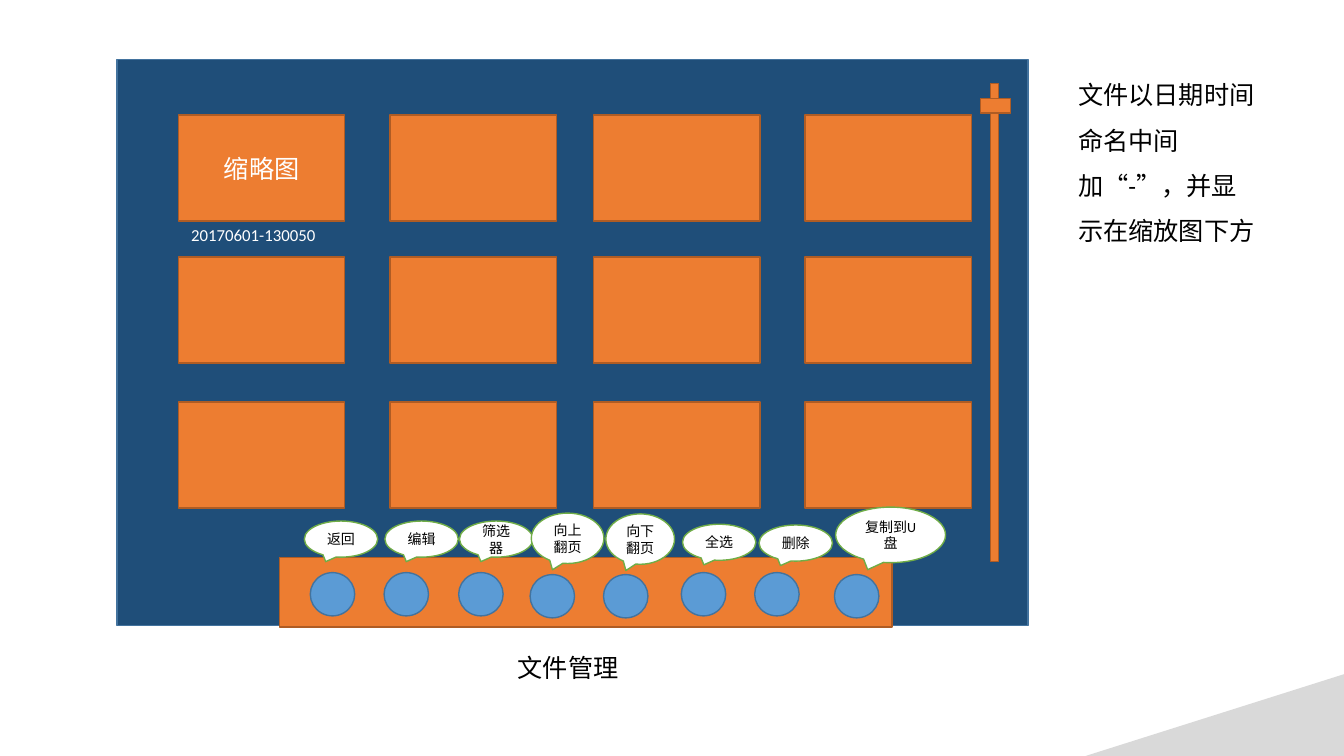
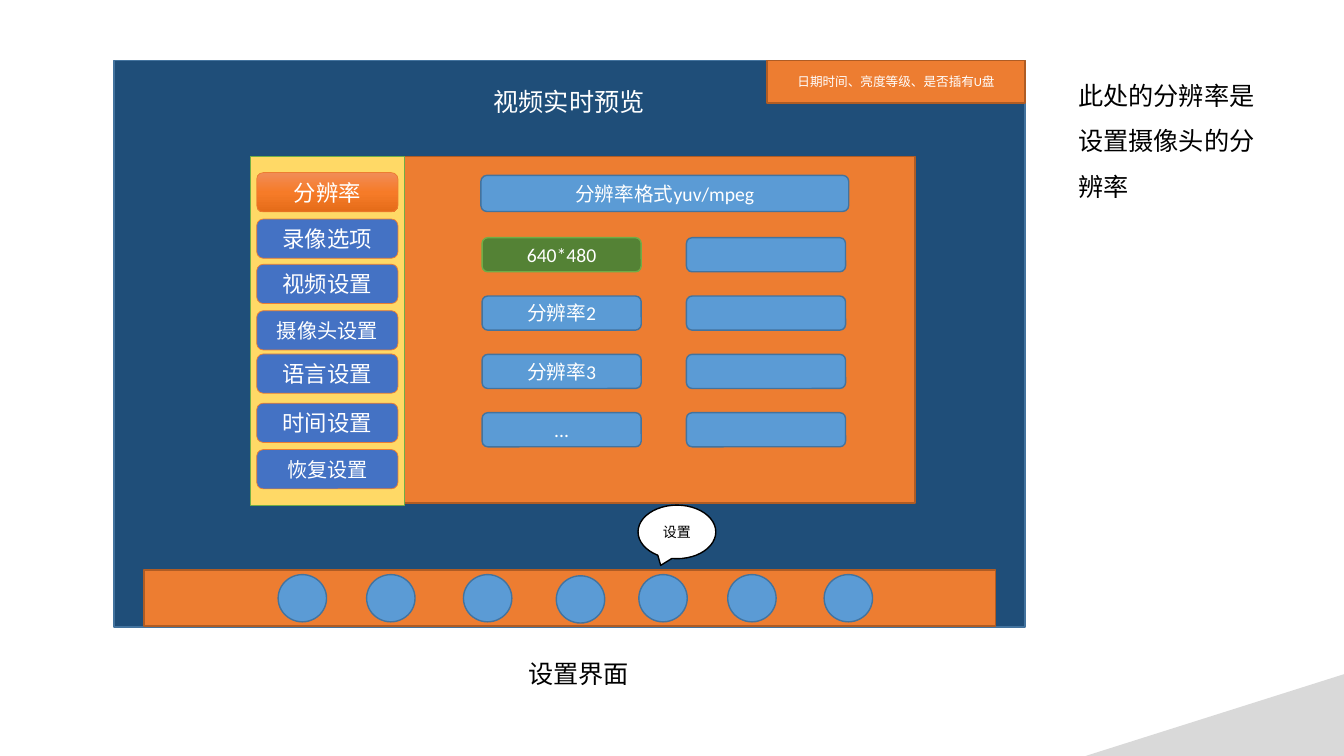
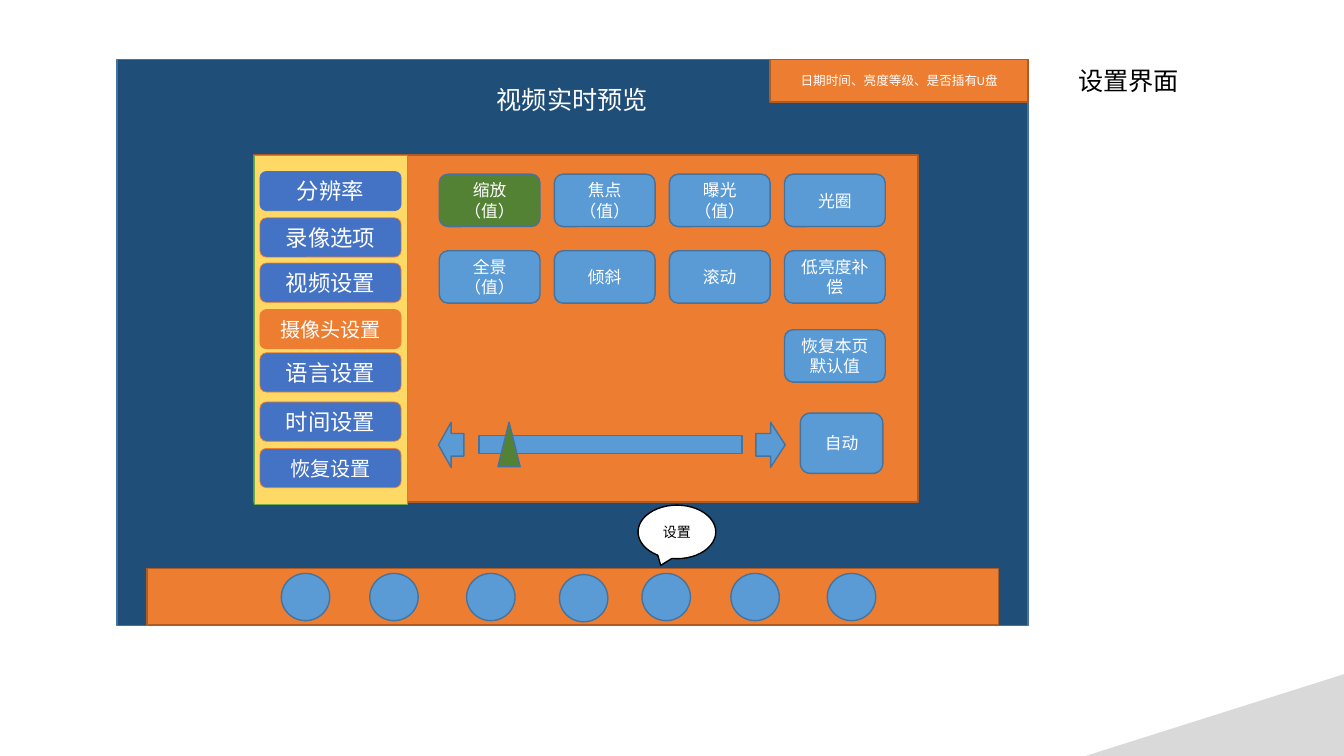
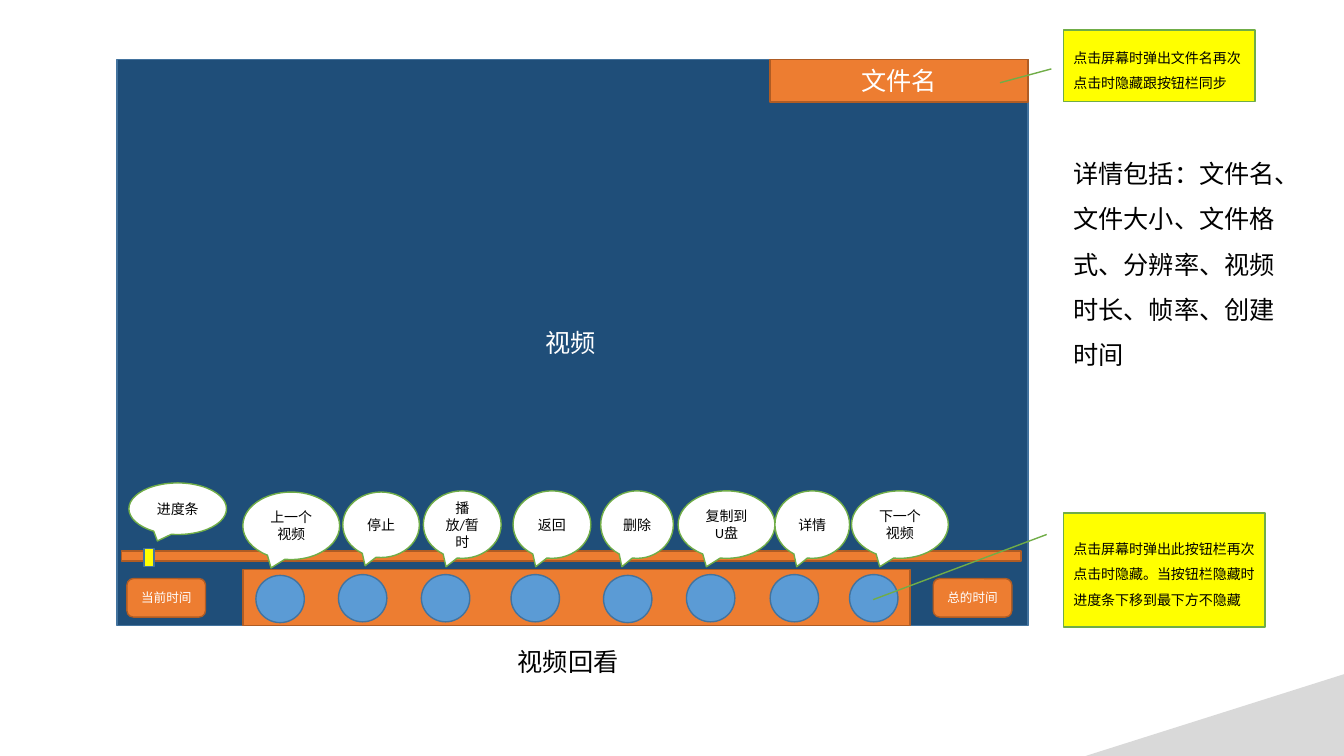
from copy import deepcopy
from dataclasses import dataclass

from pptx import Presentation
from pptx.dml.color import RGBColor
from pptx.enum.shapes import MSO_SHAPE as Preset
from pptx.enum.text import MSO_ANCHOR as Anchor, MSO_AUTO_SIZE as AutoSize, PP_ALIGN as Align
from pptx.util import Cm, Pt


@dataclass(frozen=True)
class Theme:
    font: str = "Calibri"
    white: str = "FFFFFF"
    black: str = "000000"
    corner: str = "D9D9D9"
    gradient: tuple = ("F18C57", "F67B28", "E56C19")
    body: float = 18
    menu: float = 16
    menu_small: float = 14.4
    option: float = 14
    button: float = 12
    label: float = 10
    small: float = 9


@dataclass(frozen=True)
class Look:
    fill: str
    line: str
    width: float = 1
    text: str = "FFFFFF"


THEME = Theme()
SCREEN = Look("1F4E79", "43739E")
BLUE = Look("5B9BD5", "43739E")
ORANGE = Look("ED7D31", "AF5C24")
GREEN = Look("548235", "43739E")
CHOSEN = Look("548235", "70AD47")
SIDEBAR = Look("FFD966", "70AD47", 0.5)
MENU = Look("4472C4", "ED7D31", 0.5)
MENU_PLAIN = Look("4472C4", "4472C4", 0.5)
MENU_ACTIVE = Look("ED7D31", "ED7D31", 0.5)
BUBBLE = Look("FFFFFF", "70AD47", 1, "000000")
BUBBLE_DARK = Look("FFFFFF", "000000", 1, "000000")
REMARK = Look("FFFF00", "70AD47", 1, "000000")
MARKER = Look("FFFF00", "43739E")

# Content; every length is in centimetres
SCREEN_BOX = (2.95, 1.5, 22.96, 14.27)
STATUS_BOX = (19.41, 1.5, 6.5, 1.07)

THUMB_LEFTS = (4.5, 9.83, 14.96, 20.29)
THUMB_TOPS = (2.9, 6.48, 10.13)
THUMB_SIZE = (4.19, 2.67)

# Toolbar entries: label, bubble box, left and top of the button
FILE_TOOLS = [
    ("返回", (7.67, 13.13, 1.85, 0.91), (7.82, 14.43)),
    ("编辑", (9.7, 13.13, 1.85, 0.91), (9.68, 14.43)),
    ("筛选器", (11.58, 13.13, 1.85, 0.91), (11.56, 14.43)),
    ("向上翻页", (13.39, 12.93, 1.83, 1.27), (13.36, 14.48)),
    ("向下翻页", (15.27, 12.95, 1.73, 1.27), (15.21, 14.48)),
    ("全选", (17.2, 13.21, 1.85, 0.91), (17.17, 14.43)),
    ("删除", (19.13, 13.23, 1.85, 0.91), (19.02, 14.43)),
    ("复制到U盘", (21.06, 12.78, 2.77, 1.4), (21.03, 14.48)),
]
PLAYER_TOOLS = [
    ("上一个视频", (6.12, 12.4, 2.44, 1.7), (6.45, 14.5)),
    ("停止", (8.64, 12.4, 1.93, 1.65), (8.53, 14.48)),
    ("播放/暂时", (10.67, 12.37, 1.96, 1.7), (10.62, 14.48)),
    ("返回", (12.93, 12.37, 1.96, 1.7), (12.88, 14.48)),
    ("删除", (15.14, 12.37, 1.83, 1.7), (15.21, 14.5)),
    ("复制到U盘", (17.09, 12.37, 2.44, 1.7), (17.3, 14.48)),
    ("详情", (19.53, 12.37, 1.88, 1.7), (19.41, 14.48)),
    ("下一个视频", (21.46, 12.37, 2.44, 1.7), (21.41, 14.48)),
]
SETTINGS_BUTTONS = [(7.09, 14.45), (9.32, 14.45), (11.76, 14.45), (14.1, 14.48),
                    (16.18, 14.45), (18.42, 14.45), (20.85, 14.45)]
MENU_ITEMS = [
    ("分辨率", 4.32, THEME.menu),
    ("录像选项", 5.49, THEME.menu),
    ("视频设置", 6.63, THEME.menu),
    ("摄像头设置", 7.8, THEME.menu_small),
    ("语言设置", 8.89, THEME.menu),
    ("时间设置", 10.13, THEME.menu),
    ("恢复设置", 11.3, THEME.menu_small),
]
RESOLUTIONS = ["640*480", "分辨率2", "分辨率3", "..."]
CAMERA_ROWS = [
    (4.39, ["缩放（值）", "焦点（值）", "曝光（值）", "光圈"]),
    (6.32, ["全景（值）", "倾斜", "滚动", "低亮度补偿"]),
    (8.31, [None, None, None, "恢复本页默认值"]),
]
REMARKS = [
    ("点击屏幕时弹出文件名再次点击时隐藏跟按钮栏同步",
     (26.8, 0.76, 4.83, 1.8), (0.543, -0.063, 0.737, -0.331)),
    ("点击屏幕时弹出此按钮栏再次点击时隐藏。当按钮栏隐藏时进度条下移到最下方不隐藏",
     (26.8, 12.93, 5.08, 2.87), (0.188, -0.083, 0.76, -0.944)),
]


# Drawing helpers
def write(shape, text, size, color, align, spacing=None):
    paragraph = shape.text_frame.paragraphs[0]
    paragraph.text = text
    paragraph.alignment = align
    paragraph.line_spacing = spacing
    paragraph.font.name = THEME.font
    paragraph.font.size = Pt(size)
    paragraph.font.color.rgb = RGBColor.from_string(color)


def add_box(slide, box, look, text=None, size=THEME.body, preset=Preset.RECTANGLE,
            align=Align.CENTER, spacing=None):
    shape = slide.shapes.add_shape(preset, *map(Cm, box))
    shape.shadow.inherit = False
    shape.fill.solid()
    shape.fill.fore_color.rgb = RGBColor.from_string(look.fill)
    shape.line.color.rgb = RGBColor.from_string(look.line)
    shape.line.width = Pt(look.width)
    if text:
        shape.text_frame.vertical_anchor = Anchor.MIDDLE
        write(shape, text, size, look.text, align, spacing)
    return shape


def add_label(slide, box, text, color=THEME.black, size=THEME.body, spacing=None):
    label = slide.shapes.add_textbox(*map(Cm, box))
    label.text_frame.word_wrap = True
    label.text_frame.auto_size = AutoSize.SHAPE_TO_FIT_TEXT
    write(label, text, size, color, Align.LEFT, spacing)


def add_rounded(slide, box, look, text=None, size=THEME.button):
    return add_box(slide, box, look, text, size, Preset.ROUNDED_RECTANGLE)


def add_bubble(slide, box, text, look=BUBBLE):
    add_box(slide, box, look, text, THEME.label, Preset.OVAL_CALLOUT)


def add_buttons(slide, places, size):
    for place in places:
        add_box(slide, (*place, *size), BLUE, preset=Preset.OVAL)


def add_toolbar(slide, bar, tools, button_size):
    add_box(slide, bar, ORANGE)
    add_buttons(slide, [place for _, _, place in tools], button_size)


def add_bubbles(slide, tools):
    for text, box, _ in tools:
        add_bubble(slide, box, text)


def fill_gradient(shape, colors):
    shape.fill.gradient()
    shape.fill.gradient_angle = 270
    first = shape.fill.gradient_stops[0]
    first.color.rgb = RGBColor.from_string(colors[0])
    first_element = shape.element.spPr.find(".//{*}gs")
    first_element.addnext(deepcopy(first_element))
    stops = shape.fill.gradient_stops
    for index, (stop, color) in enumerate(zip(stops, colors)):
        stop.position = index / (len(colors) - 1)
        stop.color.rgb = RGBColor.from_string(color)


def new_slide(presentation):
    slide = presentation.slides.add_slide(presentation.slide_layouts[6])
    corner = add_box(slide, (27.36, 16.99, 6.51, 2.06), Look(THEME.corner, THEME.corner),
                     preset=Preset.RIGHT_TRIANGLE)
    corner.line.fill.background()
    corner.element.spPr.xfrm.set("flipH", "1")
    return slide


def add_settings_frame(slide, active, active_look, first_look, dx=0, dy=0):
    """Draw the settings screen and return the button of the active menu item."""
    def moved(left, top, width, height):
        return left + dx, top + dy, width, height

    add_box(slide, moved(*SCREEN_BOX), SCREEN)
    add_label(slide, moved(12.27, 2.01, 4.6, 1.02), "视频实时预览", THEME.white)
    add_box(slide, moved(3.71, 14.33, 21.46, 1.42), ORANGE)
    add_buttons(slide, [(left + dx, top + dy) for left, top in SETTINGS_BUTTONS], (1.22, 1.19))
    add_box(slide, moved(6.4, 3.91, 16.74, 8.74), ORANGE)
    add_box(slide, moved(6.4, 3.91, 3.86, 8.79), SIDEBAR)
    add_box(slide, moved(*STATUS_BOX), ORANGE, "日期时间、亮度等级、是否插有U盘", THEME.small)
    add_bubble(slide, (16.08, 12.73, 1.96, 1.35), "设置", BUBBLE_DARK)
    buttons = {}
    for index, (text, top, size) in enumerate(MENU_ITEMS):
        look = active_look if text == active else first_look if index == 0 else MENU
        buttons[text] = add_rounded(slide, moved(6.55, top, 3.56, 0.99), look, text, size)
    return buttons[active]


# Slides
def build_files(presentation):
    slide = new_slide(presentation)
    add_box(slide, SCREEN_BOX, SCREEN)
    add_label(slide, (12.8, 16.31, 3.28, 1.02), "文件管理")
    for row, top in enumerate(THUMB_TOPS):
        for column, left in enumerate(THUMB_LEFTS):
            text = "缩略图" if row == column == 0 else None
            add_box(slide, (left, top, *THUMB_SIZE), ORANGE, text)
    add_label(slide, (4.57, 5.54, 4.04, 0.76), "20170601-130050", THEME.white, THEME.button)
    add_toolbar(slide, (7.04, 14.05, 15.44, 1.75), FILE_TOOLS, (1.12, 1.09))
    add_bubbles(slide, FILE_TOOLS)
    # Scroll bar and its handle
    add_box(slide, (24.97, 2.11, 0.2, 12.04), ORANGE)
    add_box(slide, (24.71, 2.49, 0.76, 0.36), ORANGE)
    add_label(slide, (26.92, 1.5, 4.98, 4.83),
              "文件以日期时间命名中间加“-”，并显示在缩放图下方", spacing=1.5)


def build_resolution(presentation):
    slide = new_slide(presentation)
    active = add_settings_frame(slide, "分辨率", MENU_ACTIVE, MENU, -0.08, 0.03)
    fill_gradient(active, THEME.gradient)
    add_label(slide, (13.06, 16.46, 3.15, 1.02), "设置界面")
    add_rounded(slide, (12.12, 4.42, 9.27, 0.91), BLUE, "分辨率格式yuv/mpeg", THEME.option)
    for row, text in enumerate(RESOLUTIONS):
        top = 5.99 + 1.47 * row
        add_rounded(slide, (12.15, top, 4.01, 0.86), BLUE if row else CHOSEN, text, THEME.option)
        add_rounded(slide, (17.3, top, 4.01, 0.86), BLUE)
    add_label(slide, (26.92, 1.52, 5.05, 4.45),
              "此处的分辨率是设置摄像头的分辨率", spacing=1.5)


def build_camera(presentation):
    slide = new_slide(presentation)
    add_settings_frame(slide, "摄像头设置", MENU_ACTIVE, MENU_PLAIN)
    add_label(slide, (26.92, 1.52, 3.15, 1.02), "设置界面")
    for row, (top, names) in enumerate(CAMERA_ROWS):
        for column, text in enumerate(names):
            if text:
                look = GREEN if row == column == 0 else BLUE
                add_rounded(slide, (11.07 + 2.9 * column, top, 2.54, 1.32), look, text)
    # Value slider
    add_box(slide, (12.07, 10.97, 6.63, 0.46), BLUE)
    add_box(slide, (12.55, 10.64, 0.56, 1.12), GREEN, preset=Preset.ISOSCELES_TRIANGLE)
    add_box(slide, (11.05, 10.64, 0.64, 1.14), BLUE, preset=Preset.LEFT_ARROW)
    add_box(slide, (19.05, 10.64, 0.74, 1.14), BLUE, preset=Preset.RIGHT_ARROW)
    add_rounded(slide, (20.17, 10.41, 2.08, 1.52), BLUE, "自动")


def build_player(presentation):
    slide = new_slide(presentation)
    add_box(slide, SCREEN_BOX, SCREEN)
    add_label(slide, (13.49, 8.13, 2.18, 1.02), "视频", THEME.white)
    add_label(slide, (12.8, 16.15, 3.23, 1.02), "视频回看")
    add_box(slide, STATUS_BOX, ORANGE, "文件名")
    add_toolbar(slide, (6.12, 14.35, 16.81, 1.42), PLAYER_TOOLS, (1.22, 1.19))
    # Progress bar, its marker and the times at both ends
    add_box(slide, (3.07, 13.89, 22.66, 0.25), ORANGE)
    add_box(slide, (3.63, 13.82, 0.25, 0.46), MARKER)
    add_bubble(slide, (3.25, 12.17, 2.46, 1.3), "进度条")
    for left, text in ((3.2, "当前时间"), (23.52, "总的时间")):
        add_rounded(slide, (left, 14.58, 1.98, 0.97), ORANGE, text, THEME.small)
    # Remarks with leader lines
    for text, box, leader in REMARKS:
        remark = add_box(slide, box, REMARK, text, THEME.label, Preset.LINE_CALLOUT_1,
                         Align.LEFT, 1.5)
        for index, value in enumerate(leader):
            remark.adjustments[index] = value
    add_bubbles(slide, PLAYER_TOOLS)
    add_label(slide, (26.8, 3.48, 6.02, 5.97),
              "详情包括：文件名、文件大小、文件格式、分辨率、视频时长、帧率、创建时间",
              spacing=1.5)


def main():
    presentation = Presentation()
    presentation.slide_width, presentation.slide_height = Cm(33.87), Cm(19.05)
    for build in (build_files, build_resolution, build_camera, build_player):
        build(presentation)
    presentation.save("out.pptx")


if __name__ == "__main__":
    main()
